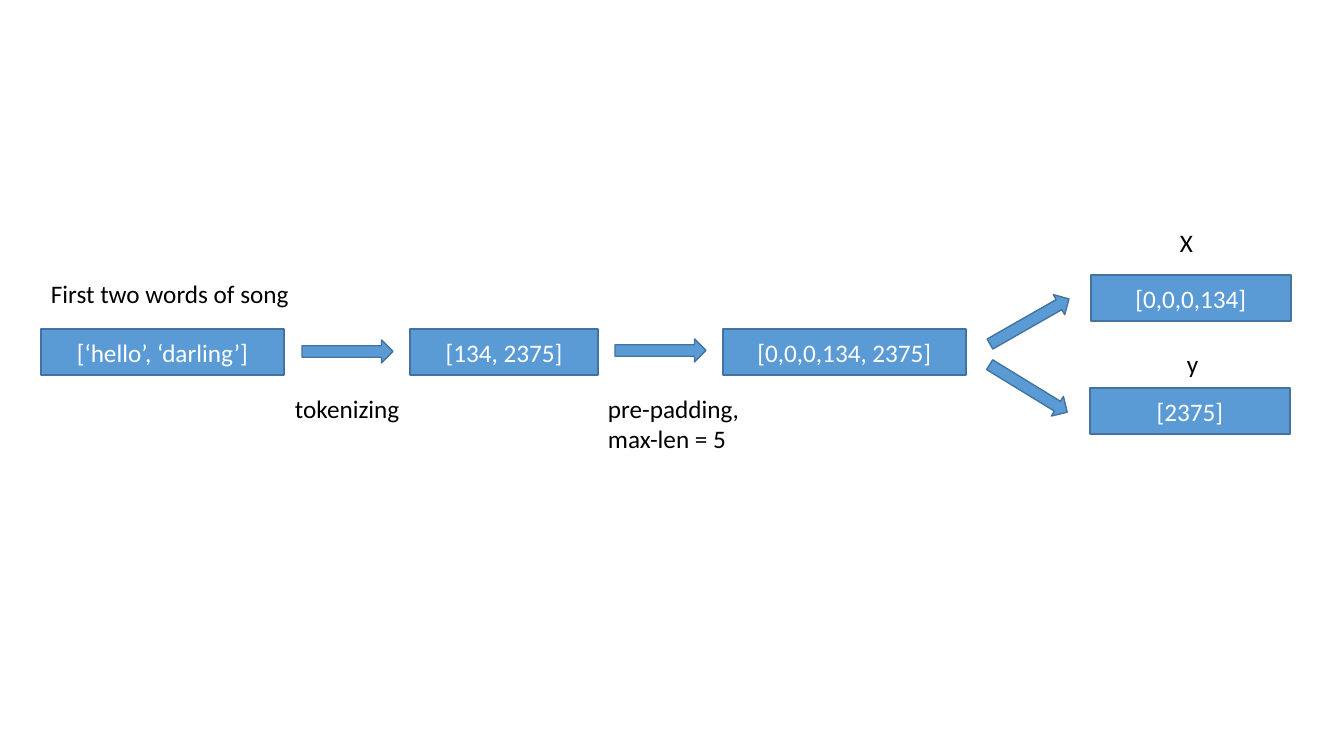
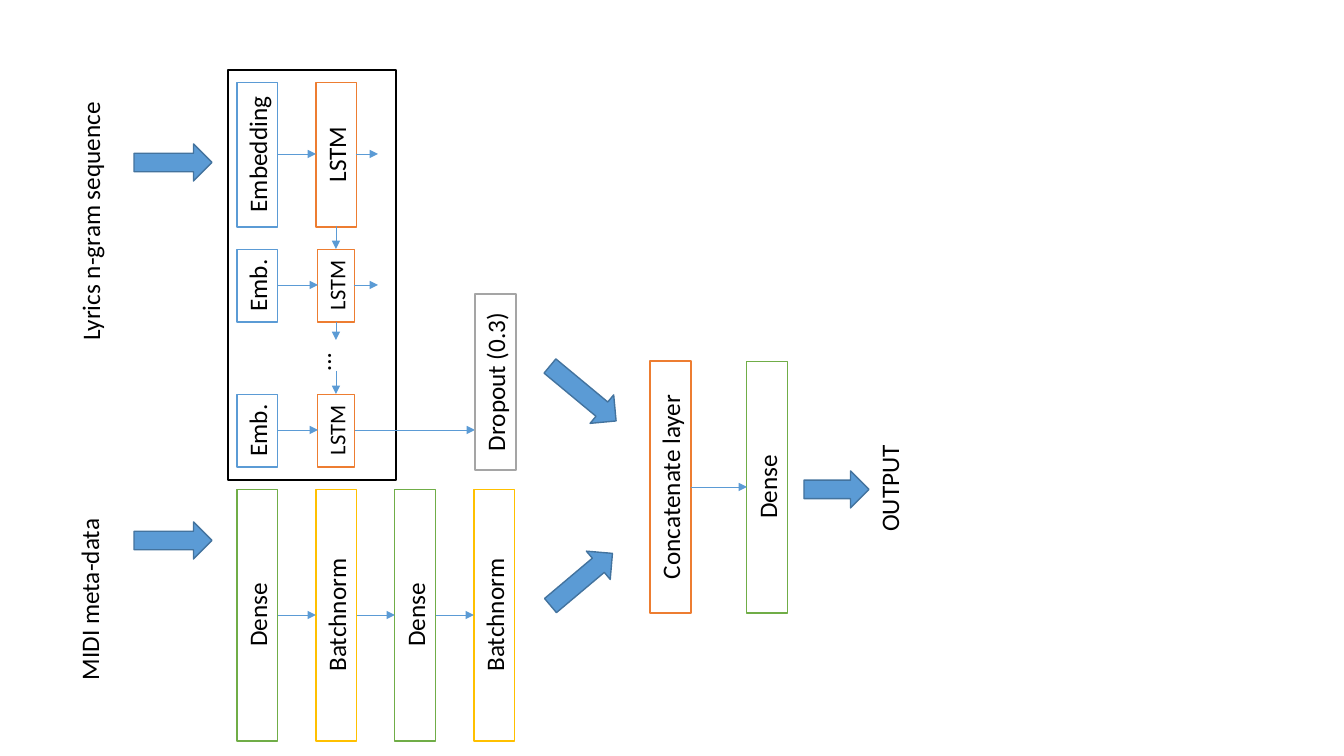
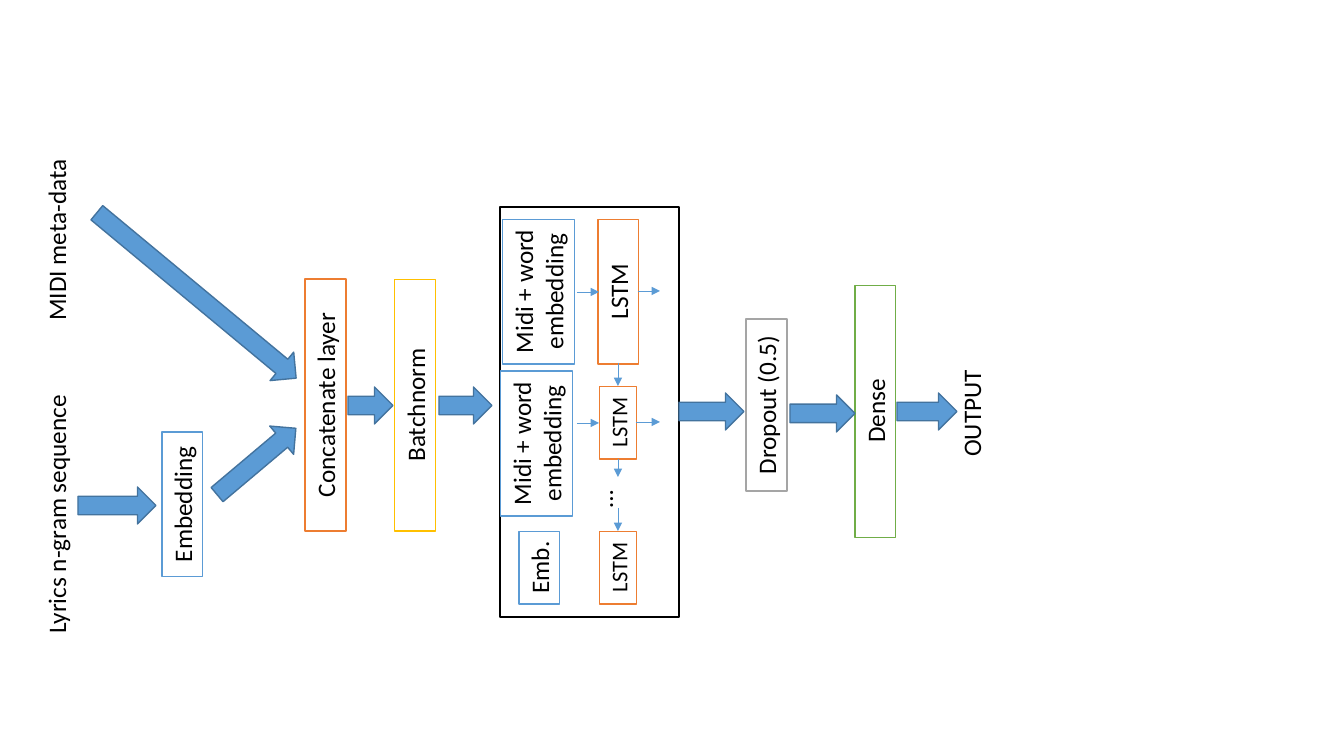
from lxml import etree
from pptx import Presentation
from pptx.dml.color import RGBColor
from pptx.enum.shapes import MSO_CONNECTOR, MSO_SHAPE
from pptx.enum.text import MSO_ANCHOR, MSO_AUTO_SIZE, PP_ALIGN
from pptx.oxml.ns import qn
from pptx.util import Emu, Pt

RECT, ARROW = MSO_SHAPE.RECTANGLE, MSO_SHAPE.RIGHT_ARROW
STRAIGHT = MSO_CONNECTOR.STRAIGHT
TOP, MIDDLE = MSO_ANCHOR.TOP, MSO_ANCHOR.MIDDLE
LEFT, CENTER = PP_ALIGN.LEFT, PP_ALIGN.CENTER
FIT, FIXED = MSO_AUTO_SIZE.SHAPE_TO_FIT_TEXT, MSO_AUTO_SIZE.NONE

COLORS = {"blue": "5B9BD5", "edge": "43739E", "orange": "ED7D31", "gold": "FFC000",
          "green": "70AD47", "gray": "A5A5A5", "black": "000000", "white": "FFFFFF"}
FONT = "Calibri"
BAR, SMALL_BAR, THICK = 41, 37, 37
LONG, MEDIUM, SHORT, CAPTION = 252, 145, 73, 283
ROWS = ((12, MEDIUM), (179, SHORT), (324, SHORT))


def px(n):
    """Turn pixels into EMU."""
    return Emu(round(n * 914400 / 100.8))


def rgb(name):
    """Look up a named colour."""
    return RGBColor.from_string(COLORS[name])


def write(sp, text, size=18, color="black", align=CENTER, anchor=TOP, fit=FIT, wrap=True):
    """Fill a shape with text, one paragraph per line."""
    tf = sp.text_frame
    tf.text = text
    for name, value in {"word_wrap": wrap, "auto_size": fit, "vertical_anchor": anchor}.items():
        setattr(tf, name, value)
    for p in tf.paragraphs:
        p.alignment = align
        for name, value in {"name": FONT, "size": Pt(size)}.items():
            setattr(p.font, name, value)
        p.font.color.rgb = rgb(color)


def shape(s, kind, box, fill, line, width=1, turn=0):
    """Add a preset shape, with box as it is before turning."""
    sp = s.shapes.add_shape(kind, *map(px, box))
    sp.shadow.inherit = False
    sp.rotation = turn
    if fill:
        sp.fill.solid()
        sp.fill.fore_color.rgb = rgb(fill)
    else:
        sp.fill.background()
    sp.line.color.rgb = rgb(line)
    sp.line.width = Pt(width)
    return sp


def arrow(s, x, y, w, h=THICK, turn=0):
    """Add a blue block arrow."""
    shape(s, ARROW, (x, y, w, h), "blue", "edge", turn=turn)


def link(s, x1, y1, x2, y2):
    """Add a thin line with an arrowhead at its end."""
    c = s.shapes.add_connector(STRAIGHT, *map(px, (x1, y1, x2, y2)))
    c.line.color.rgb = rgb("blue")
    c.line.width = Pt(0.5)
    etree.SubElement(c.line._get_or_add_ln(), qn("a:tailEnd"), type="triangle")
    etree.SubElement(c._element.spPr, qn("a:effectLst"))


def upright(x, y, w, h):
    """Give the unturned box that covers this one after a quarter turn."""
    return x + (w - h) / 2, y + (h - w) / 2, h, w


def layer(s, text, x, y, h, line, w=BAR, fill=None, size=18):
    """Add an outlined bar whose text reads upwards."""
    sp = shape(s, RECT, upright(x, y, w, h), fill, line, 1 if fill else 0.75, 270)
    write(sp, text, size)


def caption(s, text, x, y, h=CAPTION):
    """Add plain text that reads upwards."""
    sp = s.shapes.add_textbox(*map(px, upright(x, y, BAR, h)))
    sp.rotation = 270
    write(sp, text)


def note(s, text, x, y, w, h=40, turn=0):
    """Add plain unwrapped text."""
    sp = s.shapes.add_textbox(*map(px, (x, y, w, h)))
    sp.rotation = turn
    write(sp, text, align=LEFT, wrap=False)


def value_box(s, text, x, y, w):
    """Add a filled box that holds one value."""
    sp = shape(s, RECT, (x, y, w, 46), "blue", "edge")
    write(sp, text, color="white", anchor=MIDDLE, fit=FIXED)


def lstm_block(s, x, y, w, center):
    """Add a frame and its chain of LSTM cells around a centre line."""
    shape(s, RECT, (x, y, w, 410), "white", "black")
    cx = x + center
    for i, (top, h) in enumerate(ROWS):
        bar, size = (SMALL_BAR, 16) if i else (BAR, 18)
        layer(s, "LSTM", cx - bar // 2, y + top, h, "orange", bar, size=size)
        if i < 2:
            mid = y + top + h // 2
            link(s, cx + bar // 2, mid, cx + 42, mid)
    for start, end in ((156, 179), (252, 270), (301, 324)):
        link(s, cx, y + start, cx, y + end)
    note(s, "…", cx - 17, y + 272, 38, BAR, 90)


def preparation_slide(s):
    """Show a pair of words becoming a training sample."""
    for text, x, y, w in (("[‘hello’, ‘darling’]", 41, 329, 243),
                          ("[134, 2375]", 410, 329, 188),
                          ("[0,0,0,134, 2375]", 723, 329, 243),
                          ("[0,0,0,134]", 1091, 275, 200),
                          ("[2375]", 1090, 388, 200)):
        value_box(s, text, x, y, w)
    for x, y, turn in ((302, 340, 0), (615, 339, 0), (984, 310, 330.3), (983, 377, 31.5)):
        arrow(s, x, y, 91, 23, turn)
    note(s, "First two words of song", 41, 273, 261)
    note(s, "tokenizing", 285, 388, 126)
    note(s, "pre-padding,\nmax-len = 5", 598, 388, 153, 72)
    note(s, "X", 1170, 222, 33)
    note(s, "y", 1177, 343, 32)


def lyrics_branch(s, x, y):
    """Show the lyrics path from embedding to dropout."""
    lstm_block(s, x, y, 168, 108)
    for i, (top, h) in enumerate(ROWS):
        layer(s, "Embedding" if i == 0 else "Emb.", x + 9, y + top, h, "blue")
        mid = y + top + h // 2
        link(s, x + 50, mid, x + (90 if i else 88), mid)
    link(s, x + 127, mid, x + 247, mid)
    layer(s, "Dropout (0.3)", x + 247, y + 224, 176, "gray", fill="white")


def midi_branch(s, x, y):
    """Show the meta-data path as evenly spaced layers."""
    step = 79
    for i in range(4):
        text, line = (("Dense", "green"), ("Batchnorm", "gold"))[i % 2]
        left = x + i * step
        layer(s, text, left, y, LONG, line)
        if i:
            link(s, left - step + BAR, y + LONG // 2, left, y + LONG // 2)


def two_branch_slide(s):
    """Show lyrics and meta-data processed apart, then joined."""
    lyrics_branch(s, 228, 70)
    midi_branch(s, 237, 489)
    caption(s, "Lyrics n-gram sequence", 70, 80)
    caption(s, "MIDI meta-data", 69, 458)
    layer(s, "Concatenate layer", 650, 361, LONG, "orange", fill="white")
    layer(s, "Dense", 747, 361, LONG, "green")
    link(s, 691, 487, 747, 487)
    caption(s, "OUTPUT", 869, 347)
    for x, y, w, turn in ((134, 144, 78, 0), (134, 522, 78, 0), (540, 375, 86, 39.7),
                          (541, 561, 81, 319.9), (804, 471, 65, 0)):
        arrow(s, x, y, w, turn=turn)


def joint_block(s, x, y):
    """Show the LSTM chain fed by joint embeddings."""
    lstm_block(s, x, y, 179, 118)
    for left, top, mid in ((3, 12, 85), (1, 164, 216)):
        layer(s, "Midi + word embedding", x + left, y + top, MEDIUM, "blue", 72)
        link(s, x + 77, y + mid, x + 99, y + mid)
    layer(s, "Emb.", x + 19, y + 324, SHORT, "blue")


def joint_slide(s):
    """Show lyrics and meta-data joined ahead of the LSTM chain."""
    joint_block(s, 500, 207)
    caption(s, "Lyrics n-gram sequence", 36, 373)
    caption(s, "MIDI meta-data", 36, 114, LONG)
    layer(s, "Embedding", 162, 432, MEDIUM, "blue")
    layer(s, "Batchnorm", 395, 279, LONG, "gold")
    layer(s, "Dropout (0.5)", 746, 319, 172, "gray", fill="white")
    layer(s, "Dense", 855, 285, LONG, "green")
    caption(s, "OUTPUT", 951, 272)
    for x, y, w, turn in ((78, 487, 78, 0), (348, 387, 45, 0), (67, 277, 259, 39.7),
                          (205, 443, 103, 319.9), (439, 387, 53, 0), (679, 393, 65, 0),
                          (790, 395, 65, 0), (897, 393, 60, 0)):
        arrow(s, x, y, w, turn=turn)
    layer(s, "Concatenate layer", 305, 279, LONG, "orange", fill="white")


prs = Presentation()
prs.slide_width, prs.slide_height = px(1344), px(756)
for build in (preparation_slide, two_branch_slide, joint_slide):
    build(prs.slides.add_slide(prs.slide_layouts[6]))
prs.save("out.pptx")
